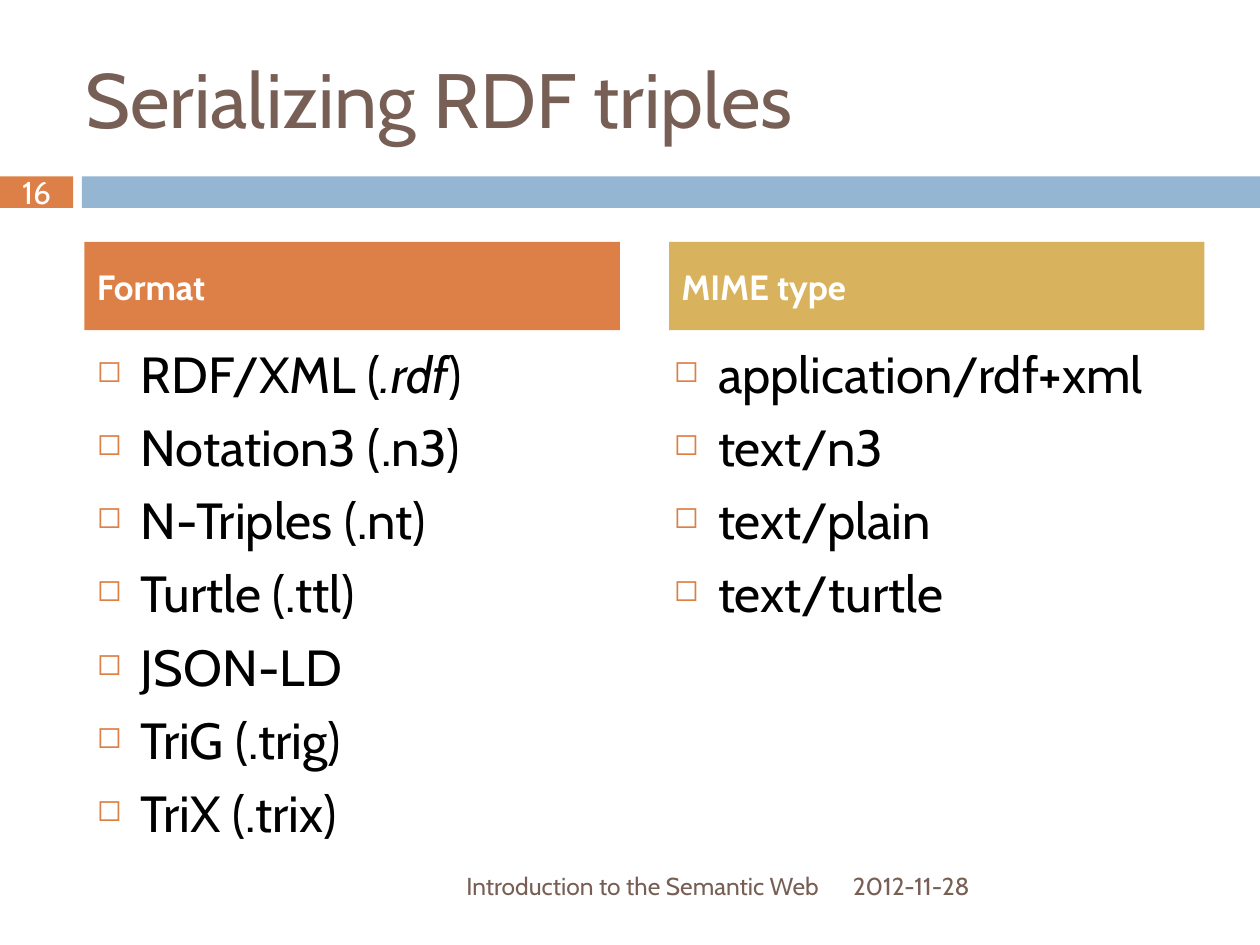
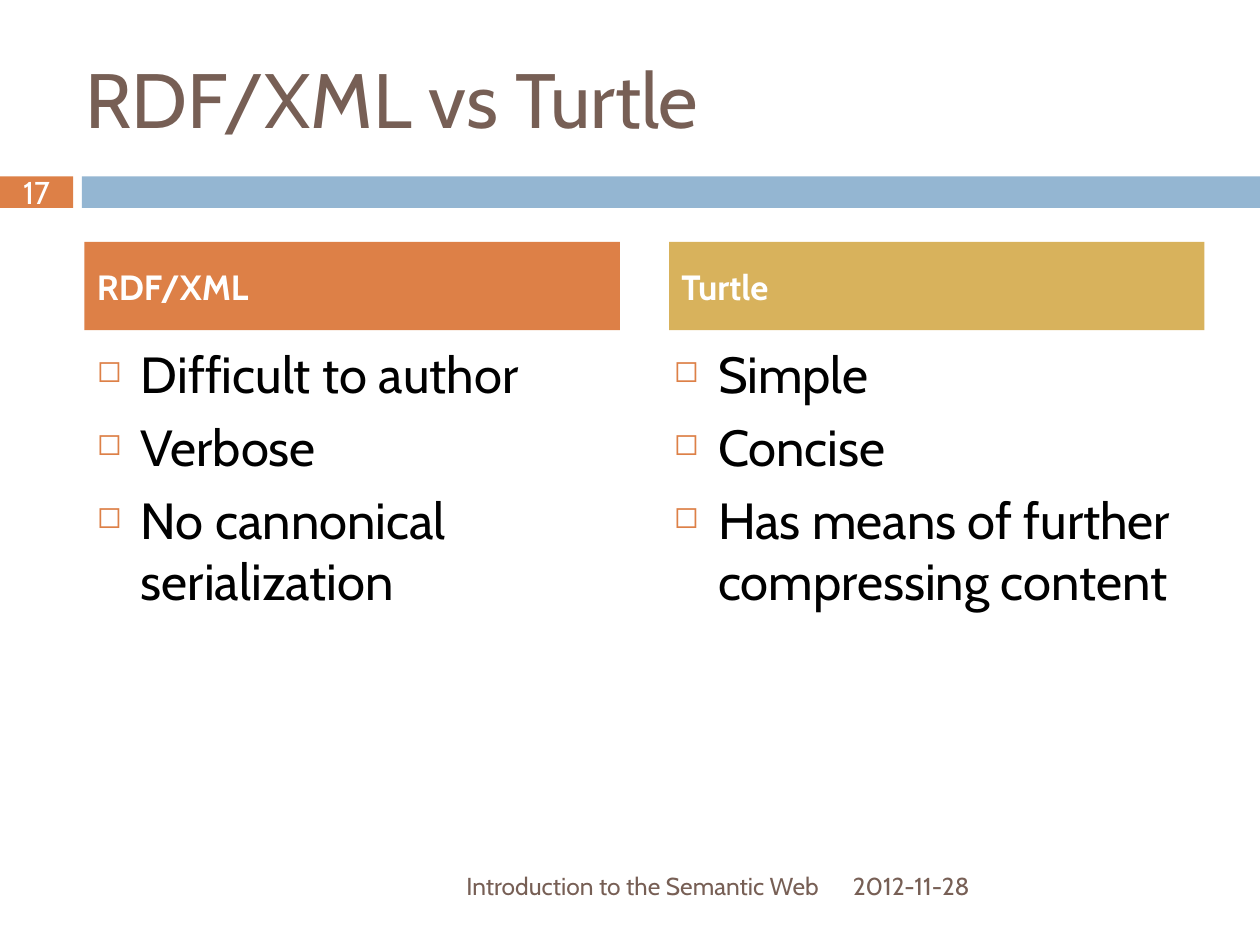
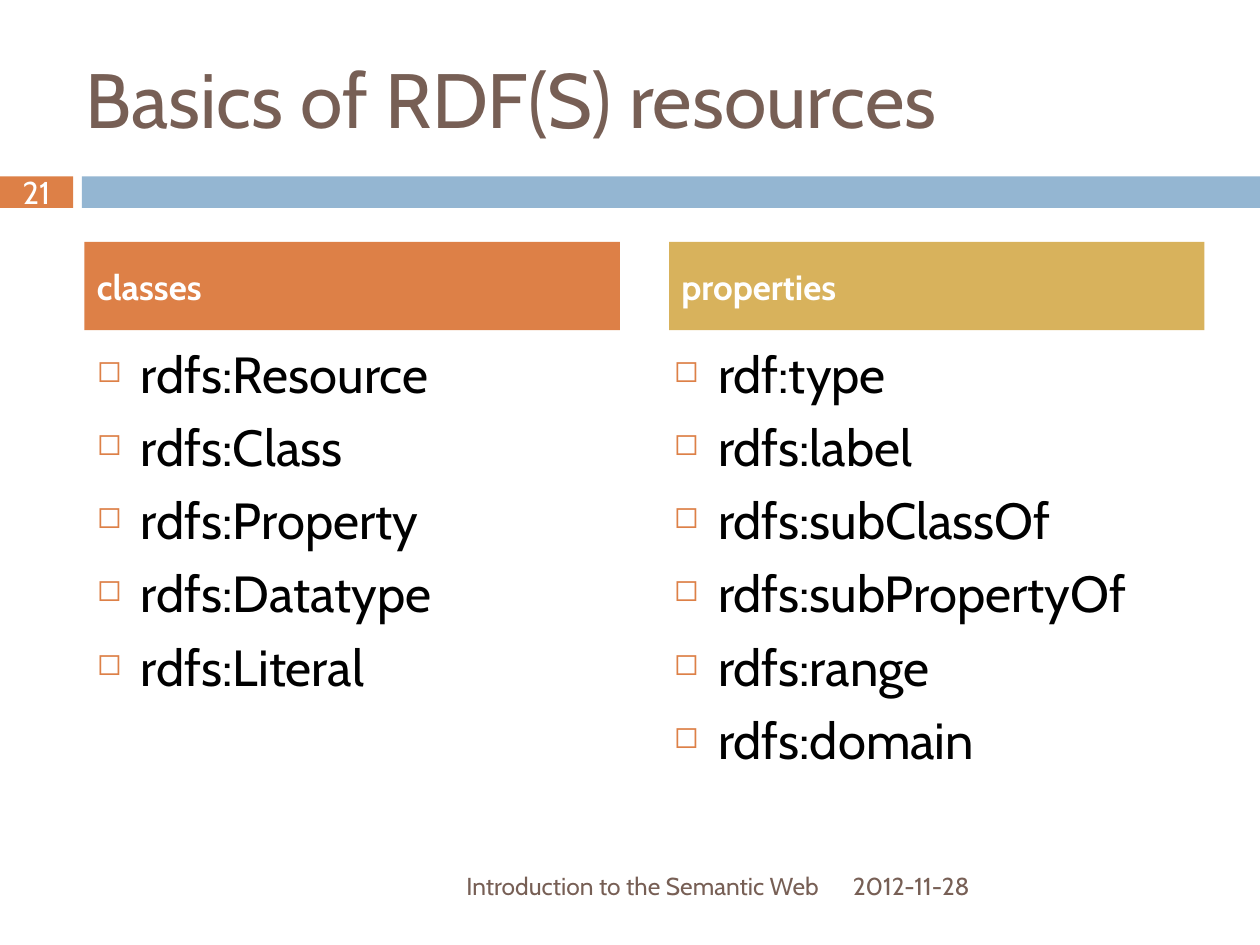
from lxml import etree
from pptx import Presentation
from pptx.dml.color import RGBColor
from pptx.enum.shapes import MSO_SHAPE
from pptx.enum.text import MSO_ANCHOR, PP_ALIGN
from pptx.oxml.ns import qn
from pptx.util import Inches, Pt

RECT = MSO_SHAPE.RECTANGLE
TOP, MIDDLE = MSO_ANCHOR.TOP, MSO_ANCHOR.MIDDLE
LEFT, CENTER, RIGHT = PP_ALIGN.LEFT, PP_ALIGN.CENTER, PP_ALIGN.RIGHT

LECTURE = "Introduction to the Semantic Web"
DATE = "2012-11-28"

# Each column is a heading and its items; an item may be split into (text, italic) runs.
SLIDES = [
    {
        "number": 16,
        "title": "Serializing RDF triples",
        "columns": [
            ("Format", [
                [("RDF/XML (", False), (".rdf", True), (")", False)],
                "Notation3 (.n3)", "N-Triples (.nt)", "Turtle (.ttl)",
                "JSON-LD", "TriG (.trig)", "TriX (.trix)",
            ]),
            ("MIME type", [
                "application/rdf+xml", "text/n3", "text/plain", "text/turtle",
            ]),
        ],
    },
    {
        "number": 17,
        "title": "RDF/XML vs Turtle",
        "columns": [
            ("RDF/XML", [
                "Difficult to author", "Verbose", "No cannonical serialization",
            ]),
            ("Turtle", [
                "Simple", "Concise", "Has means of further compressing content",
            ]),
        ],
    },
    {
        "number": 21,
        "title": "Basics of RDF(S) resources",
        "columns": [
            ("classes", [
                "rdfs:Resource", "rdfs:Class", "rdfs:Property",
                "rdfs:Datatype", "rdfs:Literal",
            ]),
            ("properties", [
                "rdf:type", "rdfs:label", "rdfs:subClassOf",
                "rdfs:subPropertyOf", "rdfs:range", "rdfs:domain",
            ]),
        ],
    },
]

FONT = "Cabin"
BROWN, ORANGE, BLUE, GOLD = "775F55", "DD8047", "94B6D2", "D8B25C"
BLACK, WHITE = "000000", "FFFFFF"

SLIDE_W, SLIDE_H = 10, 7.5
MARGIN = 0.67
NUMBER_W = 0.58
BAND_X, BAND_Y, BAND_H = 0.65, 1.4, 0.25
COLUMN_W = 4.25
HEADING_Y, HEADING_H = 1.92, 0.7
LIST_Y, LIST_H = 2.67, 3.92
FOOTER_Y, FOOTER_H = 6.83, 0.4
HEADING_STEP, LIST_STEP = 4.64, 4.58
INDENT = 0.35

TITLE = {"size": 44, "color": BROWN}
NUMBER = {"size": 18, "color": WHITE, "align": CENTER}
HEADING = {"size": 20, "color": WHITE, "bold": True, "before": 7}
ITEM = {"size": 29, "color": BLACK, "before": 7, "anchor": TOP, "bullet": ORANGE}
FOOTER = {"size": 14, "color": BROWN}


def rgb(color):
    return RGBColor.from_string(color)


def add_bullet(paragraph, color):
    """Hang a small hollow square before the paragraph."""
    props = paragraph._p.get_or_add_pPr()
    props.set("marL", str(Inches(INDENT)))
    props.set("indent", str(-Inches(INDENT)))
    bullet_color = etree.SubElement(props, qn("a:buClr"))
    etree.SubElement(bullet_color, qn("a:srgbClr"), val=color)
    etree.SubElement(props, qn("a:buSzPct"), val="60000")
    etree.SubElement(props, qn("a:buChar"), char="◻")


def write(shape, lines, style):
    frame = shape.text_frame
    frame.word_wrap = True
    frame.vertical_anchor = style.get("anchor", MIDDLE)
    for i, line in enumerate(lines):
        paragraph = frame.add_paragraph() if i else frame.paragraphs[0]
        paragraph.alignment = style.get("align", LEFT)
        paragraph.space_before = Pt(style.get("before", 0))
        if "bullet" in style:
            add_bullet(paragraph, style["bullet"])
        for text, italic in [(line, False)] if isinstance(line, str) else line:
            run = paragraph.add_run()
            run.text = text
            run.font.color.rgb = rgb(style["color"])
            formats = {"name": FONT, "size": Pt(style["size"]),
                       "bold": style.get("bold", False), "italic": italic}
            for attribute, value in formats.items():
                setattr(run.font, attribute, value)


def add_text(slide, box, lines, style):
    write(slide.shapes.add_textbox(*map(Inches, box)), lines, style)


def add_block(slide, box, color):
    block = slide.shapes.add_shape(RECT, *map(Inches, box))
    block.shadow.inherit = False
    block.fill.solid()
    block.fill.fore_color.rgb = rgb(color)
    block.line.fill.background()
    return block


def add_frame(slide, title, number):
    """Add what every slide shares: bands, title, number and footer."""
    add_block(slide, (0, BAND_Y, NUMBER_W, BAND_H), ORANGE)
    add_block(slide, (BAND_X, BAND_Y, SLIDE_W - BAND_X, BAND_H), BLUE)
    add_text(slide, (NUMBER_W, 0.3, 8.92, 0.95), [title], TITLE)
    add_text(slide, (0, BAND_Y - 0.01, NUMBER_W, BAND_H + 0.02), [str(number)], NUMBER)
    add_text(slide, (MARGIN, FOOTER_Y, 5.93, FOOTER_H), [LECTURE],
             {**FOOTER, "align": RIGHT})
    add_text(slide, (6.67, FOOTER_Y, 2.92, FOOTER_H), [DATE], FOOTER)


def add_columns(slide, columns):
    for i, ((heading, items), color) in enumerate(zip(columns, (ORANGE, GOLD))):
        heading_x = MARGIN + i * HEADING_STEP
        list_x = MARGIN + i * LIST_STEP
        block = add_block(slide, (heading_x, HEADING_Y, COLUMN_W, HEADING_H), color)
        write(block, [heading], HEADING)
        add_text(slide, (list_x, LIST_Y, COLUMN_W, LIST_H), items, ITEM)


def main():
    deck = Presentation()
    deck.slide_width, deck.slide_height = Inches(SLIDE_W), Inches(SLIDE_H)
    blank = deck.slide_layouts[6]
    for content in SLIDES:
        slide = deck.slides.add_slide(blank)
        add_frame(slide, content["title"], content["number"])
        add_columns(slide, content["columns"])
    deck.save("out.pptx")


if __name__ == "__main__":
    main()
